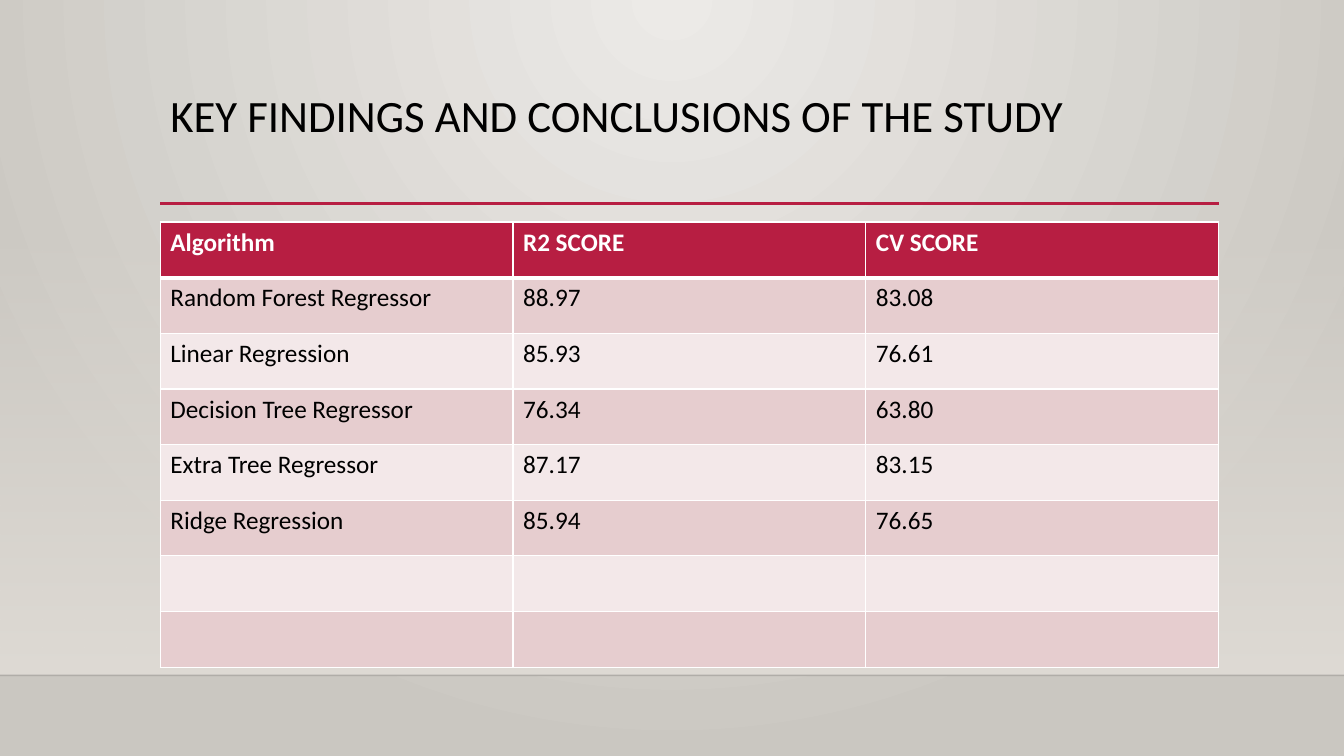
from pptx import Presentation
from pptx.dml.color import RGBColor
from pptx.enum.shapes import MSO_CONNECTOR, MSO_SHAPE
from pptx.enum.text import MSO_ANCHOR, PP_ALIGN
from pptx.oxml import parse_xml
from pptx.oxml.ns import nsdecls, qn
from pptx.oxml.xmlchemy import OxmlElement
from pptx.util import Pt

FONT = "Calibri"
COLORS = {
    "glow": "ECEAE7", "edge": "CAC7C1", "wall": "DFDBD5",
    "accent": "B71E42", "band": "E6CDCF", "light": "F3E8E9",
    "black": "000000", "white": "FFFFFF",
}
WIDTH, HEIGHT = 960, 540
LEFT, CONTENT_WIDTH = 114.5, 756
FLOOR_Y = 482.4
ROW_HEIGHT = 39.75
SCORES = [
    ("Algorithm", "R2 SCORE", "CV SCORE"),
    ("Random Forest Regressor", "88.97", "83.08"),
    ("Linear Regression", "85.93", "76.61"),
    ("Decision Tree Regressor", "76.34", "63.80"),
    ("Extra Tree Regressor", "87.17", "83.15"),
    ("Ridge Regression", "85.94", "76.65"),
    ("", "", ""),
    ("", "", ""),
]


def rgb(name):
    return RGBColor.from_string(COLORS[name])


def set_alpha(color_el, percent):
    alpha = OxmlElement("a:alpha")
    alpha.set("val", str(percent * 1000))
    color_el.append(alpha)


def set_gradient(fill, start, end):
    fill.gradient()
    for stop, name, position in zip(fill.gradient_stops, (start, end), (0, 1)):
        stop.color.rgb = rgb(name)
        stop.position = position


def set_background(s):
    set_gradient(s.background.fill, "glow", "edge")
    grad = s._element.find(".//" + qn("a:gradFill"))
    linear = grad.find(qn("a:lin"))
    grad.replace(linear, parse_xml(
        f'<a:path {nsdecls("a")} path="circle">'
        '<a:fillToRect l="43000" t="0" r="43000" b="100000"/></a:path>'))


def add_wall(s, top):
    sp = s.shapes.add_shape(MSO_SHAPE.RECTANGLE, Pt(0), Pt(top),
                            Pt(WIDTH), Pt(FLOOR_Y - top))
    sp.shadow.inherit = False
    sp.line.fill.background()
    set_gradient(sp.fill, "wall", "wall")
    sp.fill.gradient_angle = 270
    set_alpha(sp._element.spPr.find(".//" + qn("a:srgbClr")), 0)


def add_rule(s, left, right, y, color, width, opacity=100):
    line = s.shapes.add_connector(MSO_CONNECTOR.STRAIGHT,
                                  Pt(left), Pt(y), Pt(right), Pt(y))
    line.line.color.rgb = rgb(color)
    line.line.width = Pt(width)
    sp_pr = line._element.spPr
    if opacity < 100:
        set_alpha(sp_pr.find(".//" + qn("a:srgbClr")), opacity)
    sp_pr.append(OxmlElement("a:effectLst"))


def add_run(p, text, size, color, bold=False):
    r = p.add_run()
    r.text = text
    r.font.name = FONT
    r.font.size = Pt(size)
    r.font.bold = bold
    r.font.color.rgb = rgb(color)


def set_title(s, text):
    sp = s.shapes.title
    sp.left, sp.top = Pt(LEFT), Pt(63.4)
    sp.width, sp.height = Pt(CONTENT_WIDTH), Pt(82.5)
    tf = sp.text_frame
    tf.word_wrap = True
    tf.vertical_anchor = MSO_ANCHOR.TOP
    p = tf.paragraphs[0]
    p.alignment = PP_ALIGN.LEFT
    p.line_spacing = 0.9
    add_run(p, text, 32, "black")


def set_borders(cell, top, bottom):
    tc_pr = cell._tc.get_or_add_tcPr()
    widths = {"lnL": 1, "lnR": 1, "lnT": top, "lnB": bottom}
    for i, (side, width) in enumerate(widths.items()):
        tc_pr.insert(i, parse_xml(
            f'<a:{side} {nsdecls("a")} w="{Pt(width)}"><a:solidFill>'
            f'<a:srgbClr val="{COLORS["white"]}"/></a:solidFill></a:{side}>'))


def add_score_table(s, rows):
    columns = len(rows[0])
    table = s.shapes.add_table(len(rows), columns, Pt(LEFT), Pt(158.6),
                               Pt(CONTENT_WIDTH),
                               Pt(ROW_HEIGHT * len(rows))).table
    for i, values in enumerate(rows):
        header = i == 0
        fill = "accent" if header else "band" if i % 2 else "light"
        for j, value in enumerate(values):
            cell = table.cell(i, j)
            set_borders(cell, 3 if i == 1 else 1, 3 if header else 1)
            cell.fill.solid()
            cell.fill.fore_color.rgb = rgb(fill)
            if value:
                add_run(cell.text_frame.paragraphs[0], value, 18,
                        "white" if header else "black", header)


def main():
    prs = Presentation()
    prs.slide_width, prs.slide_height = Pt(WIDTH), Pt(HEIGHT)
    s = prs.slides.add_slide(prs.slide_layouts[5])

    # Backdrop: glowing wall above a floor line
    set_background(s)
    add_wall(s, 159)
    add_rule(s, 0, WIDTH, FLOOR_Y, "black", 1, opacity=20)

    # Title and its underline
    set_title(s, "KEY FINDINGS AND CONCLUSIONS OF THE STUDY")
    add_rule(s, LEFT, LEFT + CONTENT_WIDTH, 145.3, "accent", 2.5)

    # Scores by algorithm
    add_score_table(s, SCORES)
    prs.save("out.pptx")


if __name__ == "__main__":
    main()
